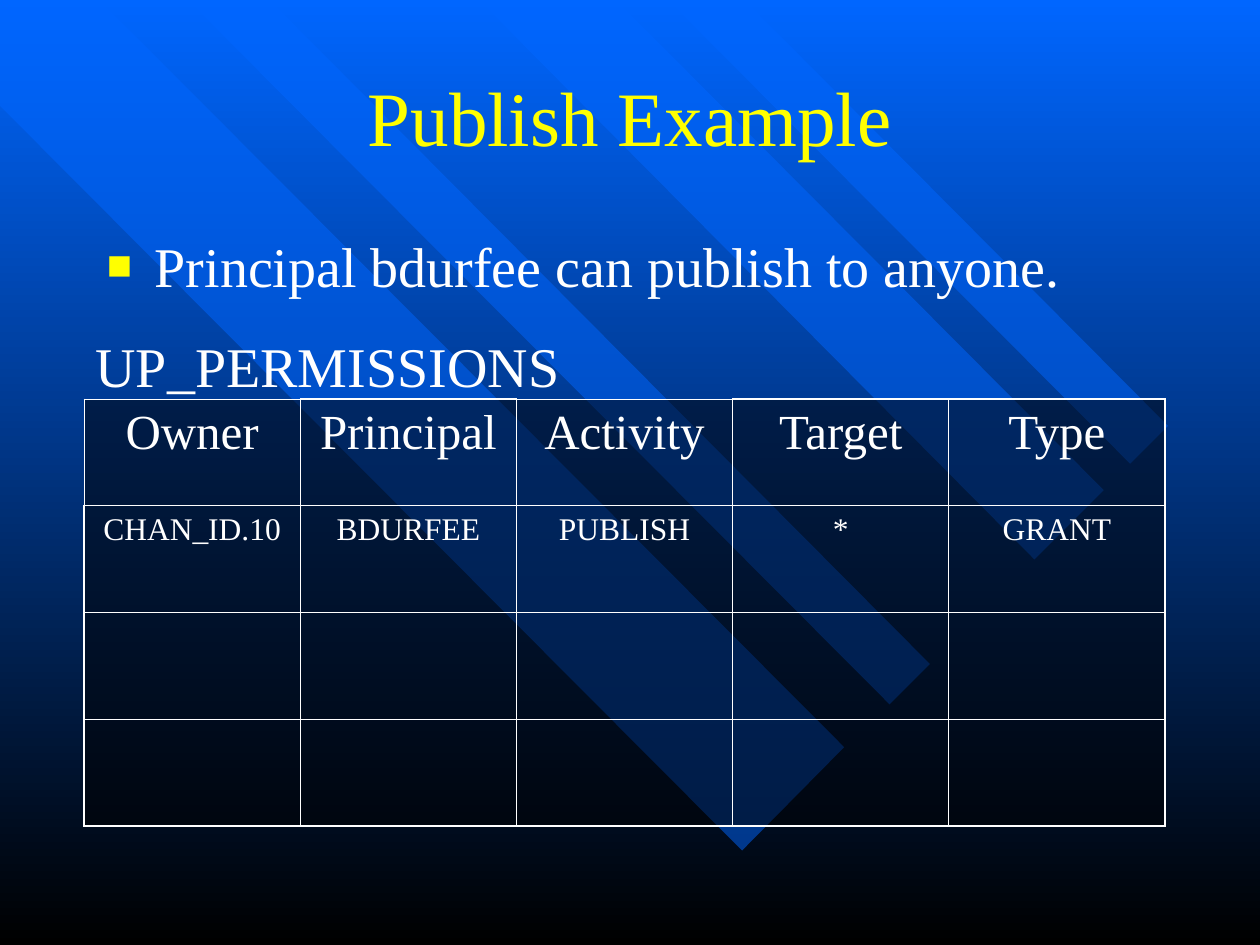
from lxml import etree
from pptx import Presentation
from pptx.dml.color import RGBColor
from pptx.enum.text import MSO_ANCHOR, PP_ALIGN
from pptx.oxml.ns import qn
from pptx.util import Inches, Pt

CENTER = PP_ALIGN.CENTER
LEFT = PP_ALIGN.LEFT
MIDDLE = MSO_ANCHOR.MIDDLE

BLUE = RGBColor(0x00, 0x66, 0xFF)
BLACK = RGBColor(0x00, 0x00, 0x00)
YELLOW = RGBColor(0xFF, 0xFF, 0x00)
WHITE = RGBColor(0xFF, 0xFF, 0xFF)

FONT = "Times New Roman"
GRID = Inches(0.1)
GRID_COLUMNS, GRID_ROWS = 100, 75
THIN, THICK = 0.45, 1.08

RIBBONS = [
    [(67, 59.3), (7.9, 0), (0, 0), (0, 8.4), (58.9, 67.5)],
    [(21.4, 0), (73.8, 52.7), (70.6, 55.9), (14.9, 0)],
    [(48.9, 0), (87.6, 38.9), (82.1, 44.4), (38, 0)],
    [(53, 0), (89.7, 36.8), (92.7, 33.8), (59.1, 0)],
]

PERMISSIONS = [
    ["Owner", "Principal", "Activity", "Target", "Type"],
    ["CHAN_ID.10", "BDURFEE", "PUBLISH", "*", "GRANT"],
    [""] * 5,
    [""] * 5,
]
THIN_HEADERS = ("Owner", "Activity")


def grid(*cells):
    return [round(cell * GRID) for cell in cells]


def make_half_transparent(element):
    color = element.find(".//" + qn("a:srgbClr"))
    etree.SubElement(color, qn("a:alpha"), val="50000")


def paint_background(slide):
    fill = slide.background.fill
    fill.gradient()
    fill.gradient_angle = 270
    for stop, color in zip(fill.gradient_stops, (BLUE, BLACK)):
        stop.color.rgb = color


def add_ribbon(slide, points):
    start, *others = [grid(*point) for point in points]
    builder = slide.shapes.build_freeform(*start)
    builder.add_line_segments(others, close=True)
    shape = builder.convert_to_shape()
    shape.shadow.inherit = False
    shape.fill.solid()
    shape.fill.fore_color.rgb = BLUE
    make_half_transparent(shape.element.spPr)
    shape.line.fill.background()
    slide.shapes.title.element.addprevious(shape.element)


def write(text_frame, text, size, color=WHITE, align=LEFT, space_before=0):
    paragraph = text_frame.paragraphs[0]
    paragraph.alignment = align
    paragraph.space_before = Pt(space_before)
    run = paragraph.add_run()
    run.text = text
    run.font.name = FONT
    run.font.size = Pt(size)
    run.font.color.rgb = color
    return paragraph


def format_title(slide, text):
    title = slide.shapes.title
    title.left, title.top, title.width, title.height = grid(7.5, 2.5, 85, 13.3)
    title.text_frame.vertical_anchor = MIDDLE
    write(title.text_frame, text, 44, YELLOW, CENTER)


def add_text(slide, cells, text, space_before=0):
    text_frame = slide.shapes.add_textbox(*grid(*cells)).text_frame
    text_frame.word_wrap = True
    return write(text_frame, text, 32, space_before=space_before)


def add_bullet(paragraph):
    properties = paragraph._p.get_or_add_pPr()
    properties.set("marL", str(Inches(0.38)))
    properties.set("indent", str(-Inches(0.38)))
    color = etree.SubElement(properties, qn("a:buClr"))
    etree.SubElement(color, qn("a:srgbClr"), val=str(YELLOW))
    etree.SubElement(properties, qn("a:buSzPct"), val="75000")
    etree.SubElement(properties, qn("a:buFont"), typeface=FONT)
    etree.SubElement(properties, qn("a:buChar"), char="■")


def set_borders(cell, outer_sides):
    properties = cell._tc.get_or_add_tcPr()
    for position, side in enumerate("LRTB"):
        width = THICK if side in outer_sides else THIN
        line = etree.Element(qn("a:ln" + side), w=str(Pt(width)))
        fill = etree.SubElement(line, qn("a:solidFill"))
        etree.SubElement(fill, qn("a:srgbClr"), val=str(WHITE))
        properties.insert(position, line)


def find_outer_sides(row, column, text):
    if text in THIN_HEADERS:
        return ""
    last_row, last_column = len(PERMISSIONS) - 1, len(PERMISSIONS[0]) - 1
    edges = {"L": column == 0, "R": column == last_column,
             "T": row == 0, "B": row == last_row}
    return "".join(side for side, is_outer in edges.items() if is_outer)


def add_permissions_table(slide):
    frame = slide.shapes.add_table(len(PERMISSIONS), len(PERMISSIONS[0]),
                                   *grid(6.67, 31.67, 85.8, 33.9))
    table = frame.table
    for row, texts in enumerate(PERMISSIONS):
        size, space_before = (28, 7) if row == 0 else (18, 4.5)
        for column, text in enumerate(texts):
            cell = table.cell(row, column)
            cell.fill.solid()
            cell.fill.fore_color.rgb = BLACK
            make_half_transparent(cell._tc.tcPr)
            set_borders(cell, find_outer_sides(row, column, text))
            if text:
                write(cell.text_frame, text, size, WHITE, CENTER, space_before)


def main():
    presentation = Presentation()
    presentation.slide_width, presentation.slide_height = grid(GRID_COLUMNS, GRID_ROWS)
    slide = presentation.slides.add_slide(presentation.slide_layouts[5])
    paint_background(slide)
    for points in RIBBONS:
        add_ribbon(slide, points)
    format_title(slide, "Publish Example")
    statement = add_text(slide, (7.5, 17.9, 85, 48.7),
                         "Principal bdurfee can publish to anyone.", 8)
    add_bullet(statement)
    add_permissions_table(slide)
    add_text(slide, (6.6, 25.8, 40, 6.4), "UP_PERMISSIONS")
    presentation.save("out.pptx")


if __name__ == "__main__":
    main()
